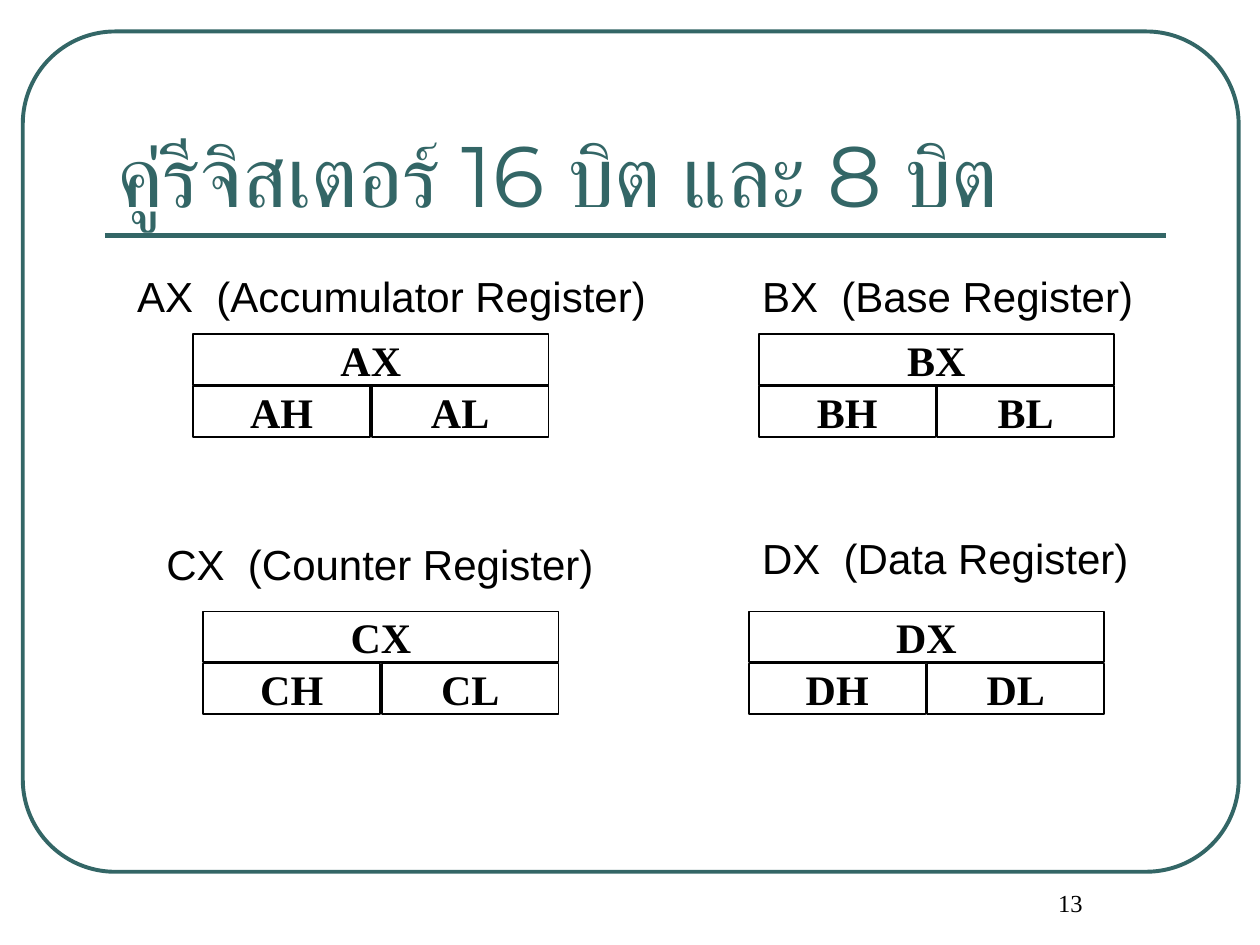
"""Build the slide that shows the 16-bit registers and their 8-bit halves."""
from lxml.etree import SubElement
from pptx import Presentation
from pptx.dml.color import RGBColor
from pptx.enum.shapes import MSO_CONNECTOR, MSO_SHAPE
from pptx.enum.text import MSO_ANCHOR, MSO_AUTO_SIZE, PP_ALIGN
from pptx.oxml.ns import qn
from pptx.util import Pt

COLORS = {"teal": "336666", "black": "000000", "white": "FFFFFF"}
TITLE = "คู่รีจิสเตอร์ 16 บิต และ 8 บิต"
PAGE = "13"
PAIRS = [
    ("A", (110.4, 191), "AX  (Accumulator Register)", (71.3, 151.2, 308, 36), 1),
    ("B", (433.6, 191), "BX  (Base Register)", (428.4, 151.2, 230, 36), 1),
    ("C", (116.2, 349.4), "CX  (Counter Register)", (88, 304, 262, 36), 1),
    ("D", (427.9, 349.4), "DX  (Data Register)", (428.4, 303.8, 228, 33), 0.9),
]
WIDE, HALF, HIGH = 203, 101, 29
STEP = 29.7

FONTS = {
    "title": {"name": "Montserrat", "size": Pt(49)},
    "label": {"name": "Arial", "size": Pt(24)},
    "cell": {"name": "Times New Roman", "size": Pt(24), "bold": True},
    "page": {"name": "Times New Roman", "size": Pt(14)},
}


def color(key):
    return RGBColor.from_string(COLORS[key])


def write(shape, text, style, ink="black", wrap=True, **form):
    frame = shape.text_frame
    frame.word_wrap = wrap
    para = frame.paragraphs[0]
    para.text = text
    for key, value in form.items():
        setattr(para, key, value)
    for key, value in FONTS[style].items():
        setattr(para.font, key, value)
    para.font.color.rgb = color(ink)
    return frame


def outline(shape, ink, width):
    shape.line.color.rgb = color(ink)
    shape.line.width = Pt(width)


def add_text(slide, area, *words, **form):
    box = slide.shapes.add_textbox(*map(Pt, area))
    return write(box, *words, **form)


def add_cell(group, text, left, top, width):
    cell = group.shapes.add_shape(MSO_SHAPE.RECTANGLE, *map(Pt, (left, top, width, HIGH)))
    cell.shadow.inherit = False
    cell.fill.solid()
    cell.fill.fore_color.rgb = color("white")
    outline(cell, "black", 1)
    frame = write(cell, text, "cell", wrap=False, alignment=PP_ALIGN.CENTER)
    frame.vertical_anchor = MSO_ANCHOR.MIDDLE


def add_pair(slide, name, left, top):
    group = slide.shapes.add_group_shape()
    add_cell(group, name + "X", left, top, WIDE)
    for side, start in (("H", left), ("L", left + WIDE - HALF)):
        add_cell(group, name + side, start, top + STEP, HALF)


def add_frame(slide):
    border = slide.shapes.add_shape(
        MSO_SHAPE.ROUNDED_RECTANGLE, Pt(13), Pt(18), Pt(694.8), Pt(480.2))
    border.adjustments[0] = 0.11
    border.shadow.inherit = False
    border.fill.background()
    outline(border, "teal", 2.25)
    rule = slide.shapes.add_connector(
        MSO_CONNECTOR.STRAIGHT, Pt(60), Pt(134.7), Pt(666), Pt(134.7))
    outline(rule, "teal", 3)
    SubElement(rule._element.spPr, qn("a:effectLst"))


def main():
    deck = Presentation()
    deck.slide_width, deck.slide_height = Pt(720), Pt(540)
    slide = deck.slides.add_slide(deck.slide_layouts[6])
    add_frame(slide)
    head = add_text(slide, (60, 42, 606, 90), TITLE, "title", "teal")
    head.vertical_anchor = MSO_ANCHOR.BOTTOM
    for name, spot, label, area, space in PAIRS:
        add_pair(slide, name, *spot)
        note = add_text(slide, area, label, "label", wrap=False, line_spacing=space)
        note.auto_size = MSO_AUTO_SIZE.SHAPE_TO_FIT_TEXT
    foot = add_text(slide, (540, 504, 126, 36), PAGE, "page", alignment=PP_ALIGN.CENTER)
    foot.paragraphs[0]._p.get_or_add_pPr().set("marL", str(Pt(17.3)))
    deck.save("out.pptx")


if __name__ == "__main__":
    main()
